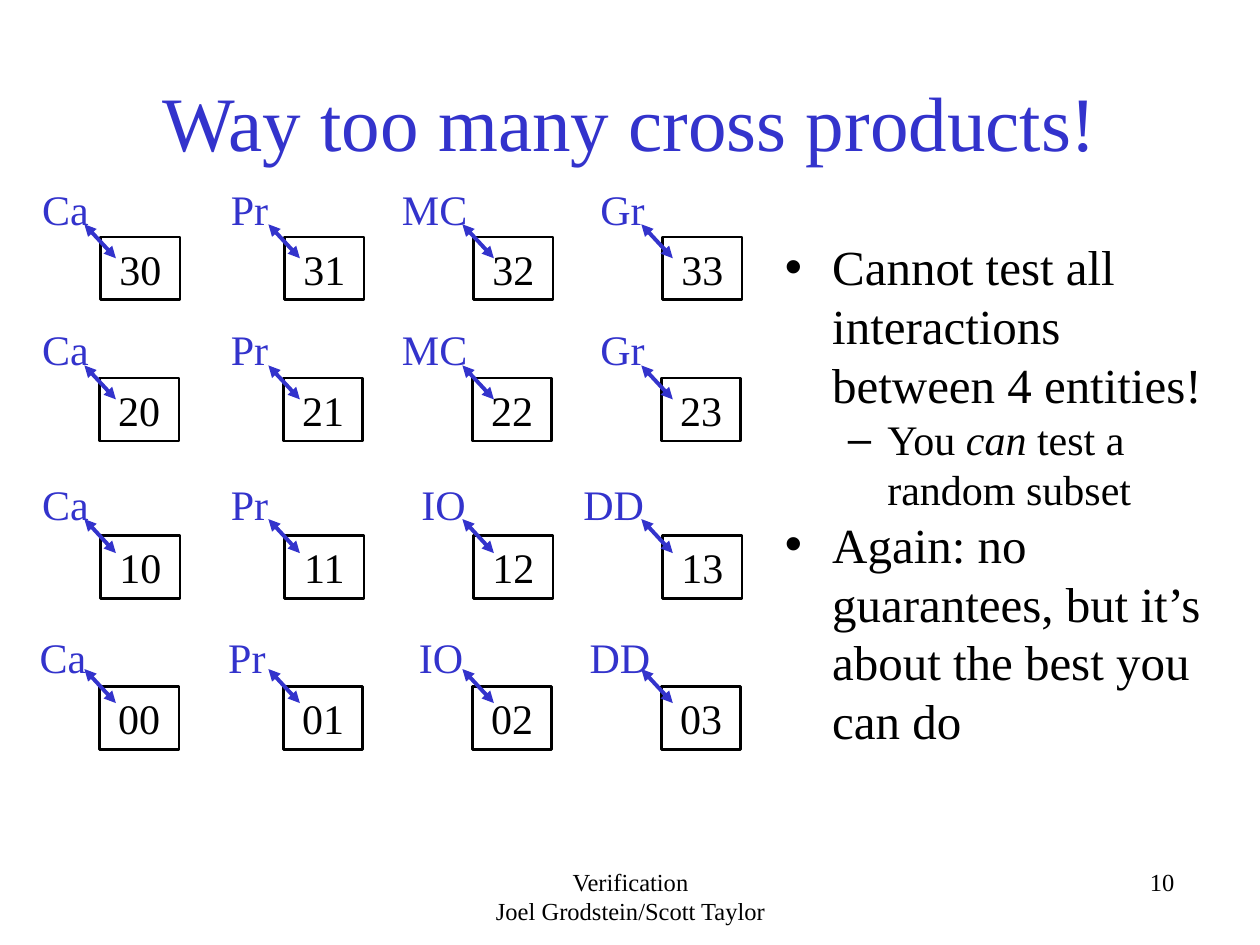
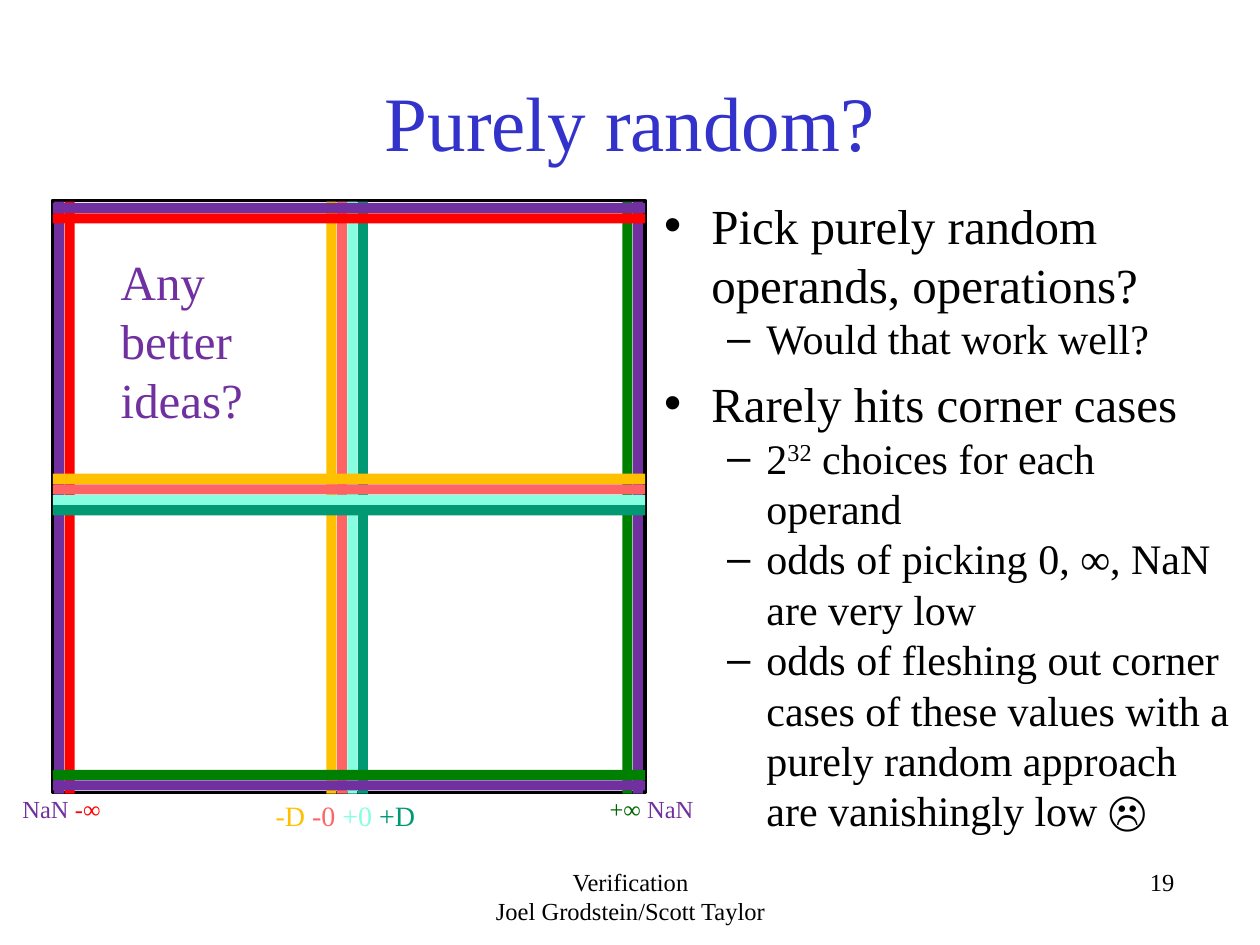
from dataclasses import dataclass

from lxml import etree
from pptx import Presentation
from pptx.dml.color import RGBColor
from pptx.enum import shapes, text
from pptx.oxml import ns
from pptx.util import Inches, Pt


@dataclass(frozen=True)
class Theme:
    """Colours and type sizes shared by the slides."""
    font: str = "Times New Roman"
    ink: str = "000000"
    paper: str = "FFFFFF"
    accent: str = "3333CC"
    nan: str = "7030A0"
    neg_inf: str = "FF0000"
    neg_denorm: str = "FFC000"
    neg_zero: str = "FF6464"
    pos_zero: str = "85FFE0"
    pos_denorm: str = "009973"
    pos_inf: str = "008000"
    pos_inf_label: str = "006600"
    title: int = 44
    body: int = 28
    sub: int = 24
    axis: int = 16
    small: int = 14


THEME = Theme()
LEFT, CENTER, RIGHT = (text.PP_ALIGN.LEFT, text.PP_ALIGN.CENTER,
                       text.PP_ALIGN.RIGHT)


def rgb(color):
    """Turn a hex string into a colour."""
    return RGBColor.from_string(color)


def add_run(paragraph, words, size, color=THEME.ink, italic=None, raised=False):
    """Append one formatted run."""
    run = paragraph.add_run()
    run.text = words
    run.font.name = THEME.font
    run.font.size = Pt(size)
    run.font.color.rgb = rgb(color)
    run.font.italic = italic
    if raised:
        run._r.get_or_add_rPr().set("baseline", "30000")


def place(shape, box):
    """Move a shape to left, top, width, height in inches."""
    shape.left, shape.top, shape.width, shape.height = map(Inches, box)


def add_label(slide, box, lines, size, align=LEFT):
    """Add a text box whose lines are lists of (words, colour)."""
    frame = slide.shapes.add_textbox(*map(Inches, box)).text_frame
    frame.word_wrap = True
    for index, line in enumerate(lines):
        paragraph = frame.add_paragraph() if index else frame.paragraphs[0]
        paragraph.alignment = align
        for words, color in line:
            add_run(paragraph, words, size, color)


def add_rect(slide, box, fill=None, line=None, weight=1.5):
    """Add a flat rectangle with optional fill and outline."""
    rect = slide.shapes.add_shape(shapes.MSO_SHAPE.RECTANGLE, *map(Inches, box))
    rect.shadow.inherit = False
    if fill:
        rect.fill.solid()
        rect.fill.fore_color.rgb = rgb(fill)
    else:
        rect.fill.background()
    if line:
        rect.line.color.rgb = rgb(line)
        rect.line.width = Pt(weight)
    else:
        rect.line.fill.background()
    return rect


def add_core(slide, left, top, number):
    """Add one numbered box of the grid."""
    core = add_rect(slide, (left, top, 0.63, 0.5), THEME.paper, THEME.ink)
    core.text_frame.vertical_anchor = text.MSO_ANCHOR.MIDDLE
    paragraph = core.text_frame.paragraphs[0]
    paragraph.alignment = CENTER
    add_run(paragraph, number, THEME.sub)


def add_double_arrow(slide, x, y):
    """Add a short diagonal arrow with a head at each end."""
    arrow = slide.shapes.add_connector(
        shapes.MSO_CONNECTOR.STRAIGHT,
        *map(Inches, (x, y, x + 0.25, y + 0.27)))
    arrow.line.color.rgb = rgb(THEME.accent)
    arrow.line.width = Pt(2.25)
    outline = arrow.line._get_or_add_ln()
    for end in ("a:headEnd", "a:tailEnd"):
        etree.SubElement(outline, ns.qn(end), type="triangle")
    etree.SubElement(arrow._element.spPr, ns.qn("a:effectLst"))


def add_bullets(body, box, items):
    """Fill the body with (level, space before, runs) items."""
    place(body, box)
    frame = body.text_frame
    frame.auto_size = text.MSO_AUTO_SIZE.NONE
    for index, (level, space, runs) in enumerate(items):
        paragraph = frame.add_paragraph() if index else frame.paragraphs[0]
        paragraph.level = level
        paragraph.space_before = Pt(space)
        for words, *style in runs:
            add_run(paragraph, words, THEME.sub if level else THEME.body,
                    italic="italic" in style or None, raised="raised" in style)


def start_slide(deck, title, number):
    """Add a slide with its title, footer and number."""
    slide = deck.slides.add_slide(deck.slide_layouts[1])
    heading = slide.shapes.title
    place(heading, (0.75, 0.33, 8.5, 1.25))
    heading.text_frame.vertical_anchor = text.MSO_ANCHOR.MIDDLE
    heading.text_frame.auto_size = text.MSO_AUTO_SIZE.NONE
    paragraph = heading.text_frame.paragraphs[0]
    paragraph.alignment = CENTER
    add_run(paragraph, title, THEME.title, THEME.accent)
    add_label(slide, (6.25, 6.83, 3.17, 0.5), [[(number, THEME.ink)]],
              THEME.small, RIGHT)
    add_label(slide, (3.42, 6.83, 3.17, 0.5),
              [[("Verification", THEME.ink)],
               [("Joel Grodstein/Scott Taylor", THEME.ink)]],
              THEME.small, CENTER)
    return slide


def build_cross_products(deck):
    """Build the grid of cores with their linked units."""
    slide = start_slide(deck, "Way too many cross products!", "10")
    add_bullets(slide.placeholders[1], (6.13, 1.83, 3.62, 4.58), [
        (0, 0, [("Cannot test all interactions between 4 entities!",)]),
        (1, 0, [("You ",), ("can", "italic"), (" test a random subset",)]),
        (0, 0, [("Again: no guarantees, but it’s about the best you can do",)]),
    ])
    core_lefts = (0.79, 2.25, 3.75, 5.25)
    arrow_lefts = (0.67, 2.13, 3.67, 5.09)
    upper_units = (("Ca", 0.52), ("Pr", 1.98), ("MC", 3.45), ("Gr", 4.94))
    lower_units = (("Ca", 0.52), ("Pr", 1.98), ("IO", 3.52), ("DD", 4.87))
    bottom_units = (("Ca", 0.5), ("Pr", 1.96), ("IO", 3.5), ("DD", 4.92))
    rows = (
        ("3", 1.88, 0.01, 1.41, 1.78, upper_units),
        ("2", 3.0, 0, 2.52, 2.9, upper_units),
        ("1", 4.25, 0.01, 3.75, 4.12, lower_units),
        ("0", 5.45, 0, 4.96, 5.31, bottom_units),
    )
    unit_width = 0.8
    for row, core_top, shift, unit_top, arrow_top, units in rows:
        for column, (unit, center) in enumerate(units):
            add_core(slide, core_lefts[column] + shift, core_top,
                     f"{row}{column}")
            add_label(slide, (center - unit_width / 2, unit_top, unit_width, 0.5),
                      [[(unit, THEME.accent)]], THEME.sub, CENTER)
            add_double_arrow(slide, arrow_lefts[column], arrow_top)


def add_operand_map(slide):
    """Draw the operand square with its special-value stripes."""
    side, stripe, pitch = 4.7, 0.08, 1 / 12
    left, top = 0.42, 1.6
    bands = (
        (0.43, 1.61, (THEME.nan, THEME.neg_inf)),
        (2.59, 3.76, (THEME.neg_denorm, THEME.neg_zero,
                      THEME.pos_zero, THEME.pos_denorm)),
        (4.94, 6.11, (THEME.pos_inf, THEME.nan)),
    )
    add_rect(slide, (left, top - 0.01, side, side), line=THEME.ink, weight=2)
    for x, _, colors in bands:
        for index, color in enumerate(colors):
            add_rect(slide, (x + index * pitch, top, stripe, side), color)
    for _, y, colors in bands:
        for index, color in enumerate(colors):
            add_rect(slide, (left, y + index * pitch, side, stripe), color)


def build_purely_random(deck):
    """Build the operand map beside the random-testing bullets."""
    slide = start_slide(deck, "Purely random?", "19")
    add_label(slide, (2.09, 6.29, 1.46, 0.37),
              [[("-D ", THEME.neg_denorm), ("-0 ", THEME.neg_zero),
                ("+0 ", THEME.pos_zero), ("+D", THEME.pos_denorm)]], THEME.axis)
    add_label(slide, (4.74, 6.25, 0.93, 0.34),
              [[("+∞ ", THEME.pos_inf_label), ("NaN", THEME.nan)]], THEME.small)
    add_label(slide, (0.08, 6.25, 1, 0.34),
              [[("NaN ", THEME.nan), ("-∞", THEME.neg_inf)]], THEME.small)
    add_operand_map(slide)
    add_bullets(slide.placeholders[1], (5.17, 1.5, 4.7, 5.16), [
        (0, 0, [("Pick purely random operands, operations?",)]),
        (1, 0, [("Would that work well?",)]),
        (0, 5.6, [("Rarely hits corner cases",)]),
        (1, 0, [("2",), ("32", "raised"), (" choices for each operand",)]),
        (1, 0, [("odds of picking 0, ∞, NaN are very low",)]),
        (1, 0, [("odds of fleshing out corner cases of these values with a "
                 "purely random approach are vanishingly low ☹",)]),
    ])
    add_label(slide, (0.86, 1.95, 1.54, 1.51),
              [[("Any better ideas?", THEME.nan)]], THEME.body)


def main():
    """Build and save the presentation."""
    deck = Presentation()
    deck.slide_width, deck.slide_height = Inches(10), Inches(7.5)
    build_cross_products(deck)
    build_purely_random(deck)
    deck.save("out.pptx")


if __name__ == "__main__":
    main()
